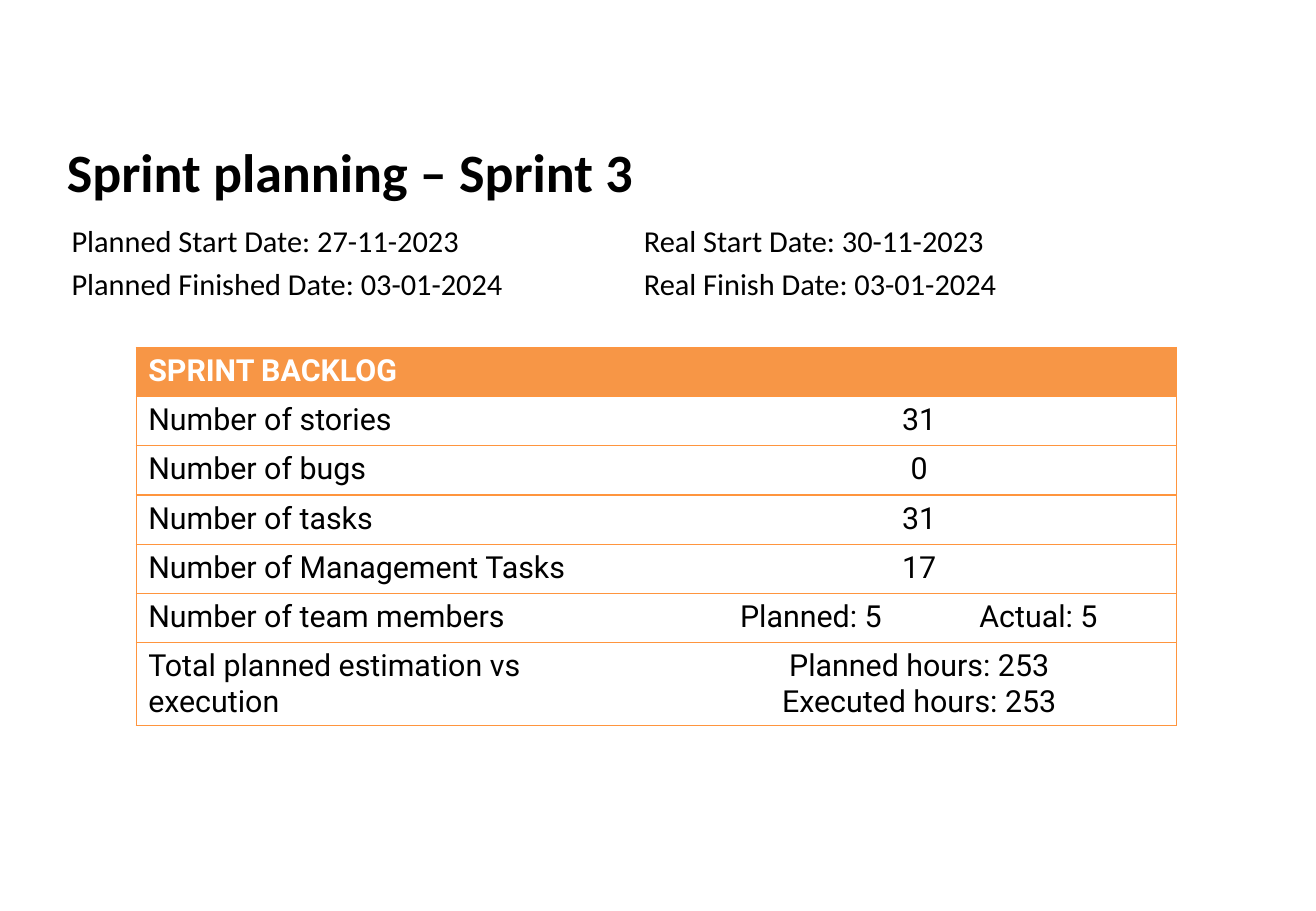
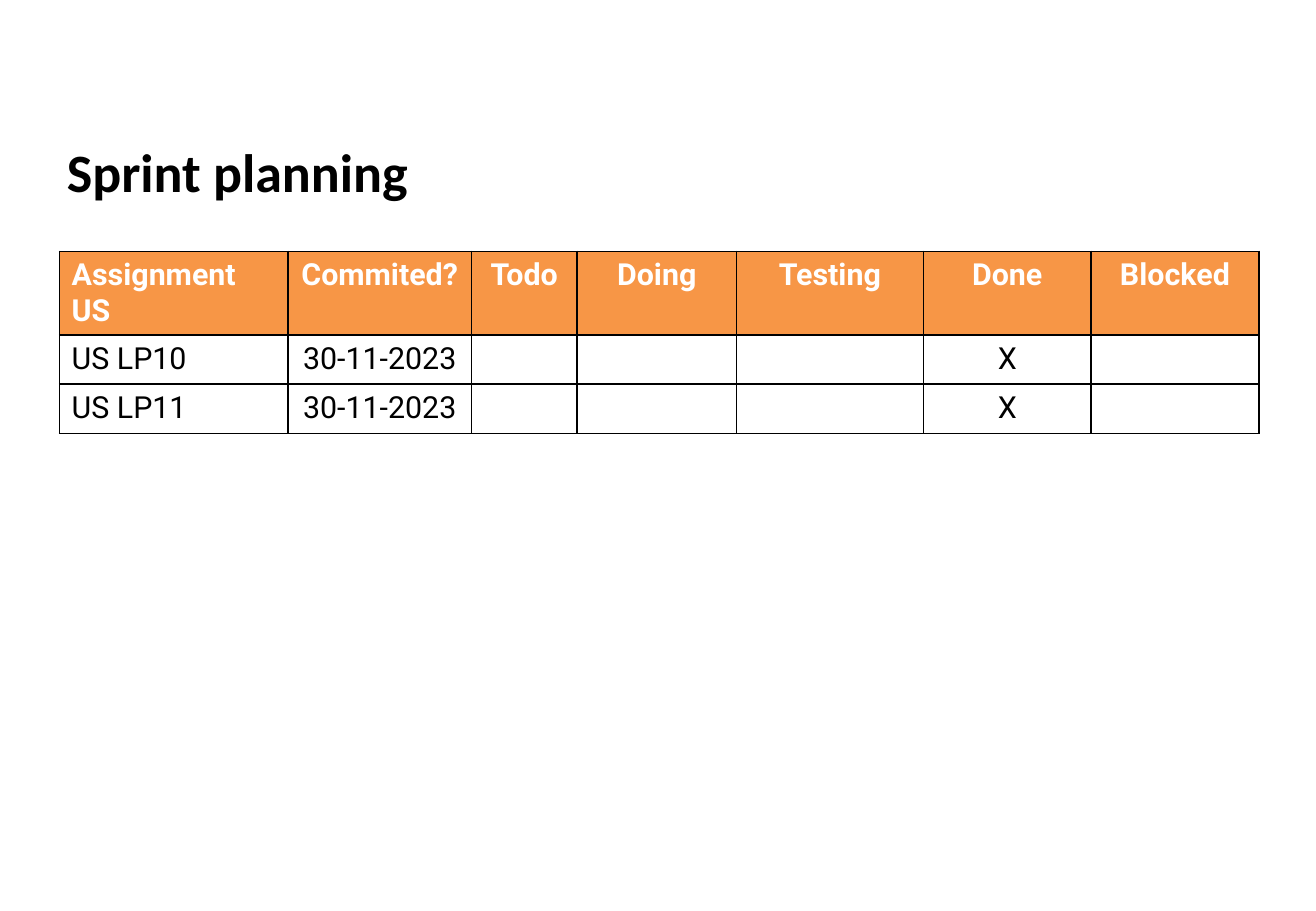
from lxml.etree import SubElement
from pptx import Presentation
from pptx.dml.color import RGBColor
from pptx.enum.text import MSO_ANCHOR, PP_ALIGN
from pptx.oxml.ns import qn
from pptx.util import Inches, Pt

BLACK = RGBColor(0x00, 0x00, 0x00)
WHITE = RGBColor(0xFF, 0xFF, 0xFF)
HEADER_ORANGE = RGBColor(0xF7, 0x96, 0x46)
BORDER_ORANGE = RGBColor(0xFF, 0x95, 0x3E)
HEADING_FONT, TABLE_FONT = "Calibri", "Roboto"
ROW_HEIGHT = 0.405

DATES = [
    ("Planned Start Date: 27-11-2023", "Real Start Date: 30-11-2023"),
    ("Planned Finished Date: 03-01-2024", "Real Finish Date: 03-01-2024"),
]
DATE_TAB = 4.71
MEMBER_TABS = (0.54, 2.51)

BACKLOG = [
    ("SPRINT BACKLOG", ""),
    ("Number of stories", "31"),
    ("Number of bugs", "0"),
    ("Number of tasks", "31"),
    ("Number of Management Tasks", "17"),
    ("Number of team members", "\tPlanned: 5\tActual: 5"),
    ("Total planned estimation vs execution", "Planned hours: 253\nExecuted hours: 253"),
]
BACKLOG_WIDTHS = (4.33, 4.23)

ASSIGNMENTS = [
    ("Assignment US", "Commited?", "Todo", "Doing", "Testing", "Done", "Blocked"),
    ("US LP10", "30-11-2023", "", "", "", "X", ""),
    ("US LP11", "30-11-2023", "", "", "", "X", ""),
]
ASSIGNMENT_WIDTHS = (1.88, 1.51, 0.87, 1.31, 1.54, 1.38, 1.38)


def add_run(paragraph, text, font, size=18, color=BLACK, bold=False):
    run = paragraph.add_run()
    run.text = text
    run.font.name = font
    run.font.size = Pt(size)
    run.font.bold = bold
    run.font.color.rgb = color


def set_tabs(paragraph, stops):
    tabs = SubElement(paragraph._p.get_or_add_pPr(), qn("a:tabLst"))
    for stop in stops:
        SubElement(tabs, qn("a:tab"), pos=str(Inches(stop)), algn="l")


def add_titled_slide(deck, title, width):
    slide = deck.slides.add_slide(deck.slide_layouts[5])
    heading = slide.shapes.title
    heading.left, heading.top = Inches(0.45), Inches(1.09)
    heading.width, heading.height = Inches(width), Inches(0.63)
    heading.text_frame.vertical_anchor = MSO_ANCHOR.MIDDLE
    paragraph = heading.text_frame.paragraphs[0]
    paragraph.alignment = PP_ALIGN.LEFT
    add_run(paragraph, title, HEADING_FONT, 32, bold=True)
    return slide


def set_border(cell, side, color, width):
    line = SubElement(cell._tc.get_or_add_tcPr(), qn(f"a:ln{side}"), w=str(Pt(width)))
    if color is None:
        SubElement(line, qn("a:noFill"))
    else:
        fill = SubElement(line, qn("a:solidFill"))
        SubElement(fill, qn("a:srgbClr"), val=str(color))


def fill_cell(cell, text, is_header, is_label):
    cell.fill.solid()
    cell.fill.fore_color.rgb = HEADER_ORANGE if is_header else WHITE
    if not text:
        return
    frame = cell.text_frame
    for index, line in enumerate(text.split("\n")):
        paragraph = frame.add_paragraph() if index else frame.paragraphs[0]
        tabbed = "\t" in line
        paragraph.alignment = PP_ALIGN.LEFT if is_label or tabbed else PP_ALIGN.CENTER
        if tabbed:
            set_tabs(paragraph, MEMBER_TABS)
        add_run(paragraph, line, TABLE_FONT, color=WHITE if is_header else BLACK, bold=is_header)


def add_grid(slide, rows, widths, left, top, color, line_width, inner_verticals):
    table = slide.shapes.add_table(
        len(rows), len(widths), Inches(left), Inches(top),
        Inches(sum(widths)), Inches(ROW_HEIGHT * len(rows))).table
    table.horz_banding = False
    for column, width in zip(table.columns, widths):
        column.width = Inches(width)
    last = len(widths) - 1
    for r, texts in enumerate(rows):
        table.rows[r].height = Inches(ROW_HEIGHT)
        for c, text in enumerate(texts):
            cell = table.cell(r, c)
            for side in "LRTB":
                inner = (side == "L" and c > 0) or (side == "R" and c < last)
                visible = inner_verticals or not inner
                set_border(cell, side, color if visible else None, line_width)
            fill_cell(cell, text, r == 0, c == 0)


def add_dates(slide):
    frame = slide.shapes.add_textbox(
        Inches(0.49), Inches(1.78), Inches(9.89), Inches(0.78)).text_frame
    frame.word_wrap = True
    for index, dates in enumerate(DATES):
        paragraph = frame.add_paragraph() if index else frame.paragraphs[0]
        paragraph.space_after = Pt(4)
        set_tabs(paragraph, [DATE_TAB])
        add_run(paragraph, "\t".join(dates), HEADING_FONT)


def main():
    deck = Presentation()
    deck.slide_width, deck.slide_height = Inches(10.83), Inches(7.5)

    backlog = add_titled_slide(deck, "Sprint planning – Sprint 3", 9.89)
    add_grid(backlog, BACKLOG, BACKLOG_WIDTHS, 1.12, 2.86, BORDER_ORANGE, 0.75, False)
    add_dates(backlog)

    assignments = add_titled_slide(deck, "Sprint planning", 10.08)
    add_grid(assignments, ASSIGNMENTS, ASSIGNMENT_WIDTHS, 0.49, 2.07, BLACK, 1, True)

    deck.save("out.pptx")


if __name__ == "__main__":
    main()
